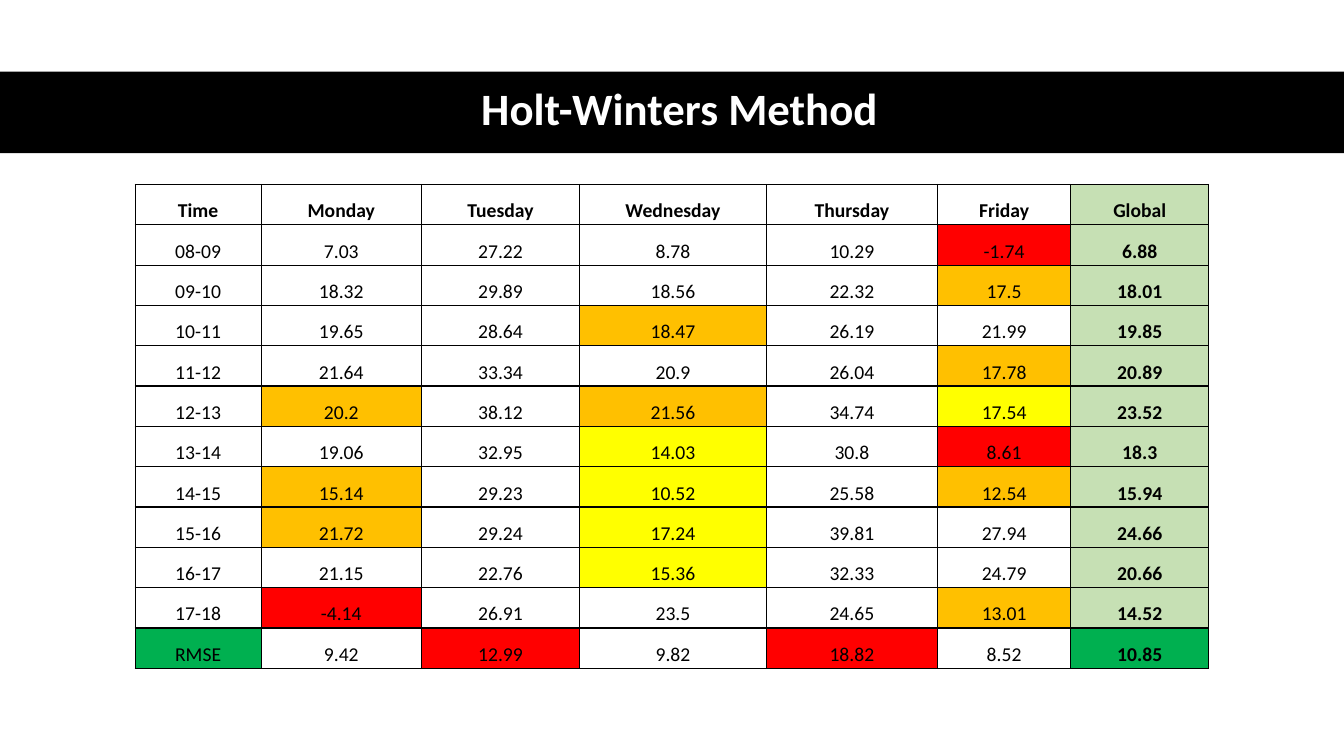
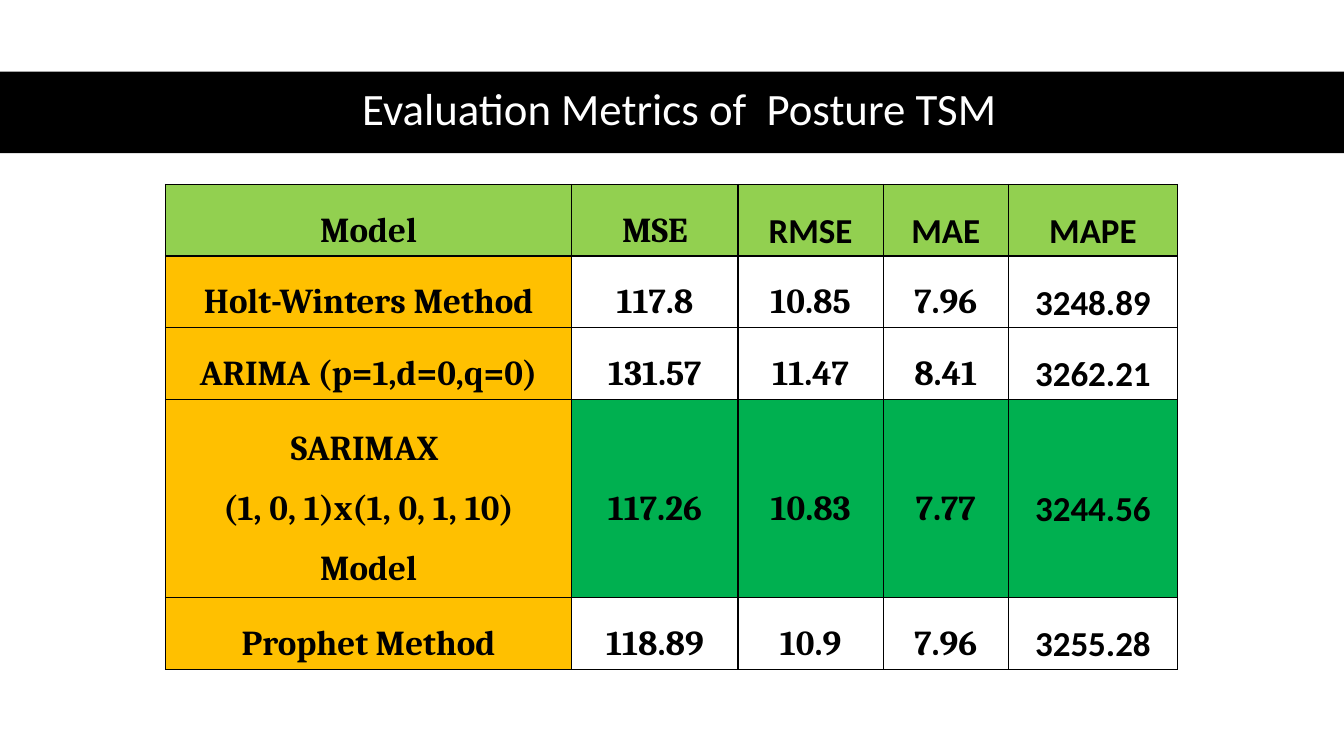
from dataclasses import dataclass

from lxml.etree import SubElement
from pptx import Presentation
from pptx.dml.color import RGBColor
from pptx.enum.shapes import MSO_SHAPE
from pptx.enum.text import MSO_ANCHOR, MSO_AUTO_SIZE, PP_ALIGN
from pptx.oxml.ns import qn
from pptx.util import Inches, Pt


@dataclass(frozen=True)
class Theme:
    black: str = "000000"
    white: str = "FFFFFF"
    red: str = "FF0000"
    amber: str = "FFC000"
    yellow: str = "FFFF00"
    pale: str = "C6E0B4"
    lime: str = "92D050"
    green: str = "00B050"
    sans: str = "Calibri"
    serif: str = "Cambria"
    head: int = 32
    small: int = 14
    large: int = 25
    line: int = 1


class Deck:
    def __init__(self, theme):
        self.theme = theme
        self.file = Presentation()
        self.file.slide_width = Inches(13.33)
        self.file.slide_height = Inches(7.5)
        self.slide = None

    def start(self, title, bold):
        self.slide = self.file.slides.add_slide(self.file.slide_layouts[5])
        self.title(title, bold)
        self.band()

    def title(self, text, bold):
        head = self.slide.shapes.title
        head.left, head.top = Inches(0.61), Inches(0.7)
        head.width, head.height = Inches(12.26), Inches(0.81)
        frame = head.text_frame
        frame.text = text
        frame.auto_size = MSO_AUTO_SIZE.NONE
        frame.vertical_anchor = MSO_ANCHOR.MIDDLE
        theme = self.theme
        self.style(frame, 0.9, theme.sans, theme.head, theme.white, bold)

    def band(self):
        bar = self.slide.shapes.add_shape(
            MSO_SHAPE.RECTANGLE, 0, Inches(0.71), self.file.slide_width, Inches(0.81))
        bar.shadow.inherit = False
        bar.fill.solid()
        bar.fill.fore_color.rgb = RGBColor.from_string(self.theme.black)
        bar.line.fill.background()
        self.slide.shapes.title.element.addprevious(bar.element)

    def style(self, frame, space, face, size, hue, bold):
        for para in frame.paragraphs:
            para.alignment = PP_ALIGN.CENTER
            para.line_spacing = space
            for run in para.runs:
                run.font.name = face
                run.font.size = Pt(size)
                run.font.bold = bold
                run.font.color.rgb = RGBColor.from_string(hue)

    def table(self, data, left, wide, high, size, pad, fill, face, bold):
        shape = self.slide.shapes.add_table(
            len(data), len(wide), Inches(left), Inches(1.83),
            Inches(sum(wide)), Inches(sum(high)))
        grid = shape.table
        grid.first_row = grid.horz_banding = False
        for col, width in zip(grid.columns, wide):
            col.width = Inches(width)
        for row, height in zip(grid.rows, high):
            row.height = Inches(height)
        for r, line in enumerate(data):
            for c, text in enumerate(line):
                cell = grid.cell(r, c)
                self.cell(cell, text, pad, fill(r, c))
                self.style(cell.text_frame, 1.5, face(r, c), size,
                           self.theme.black, bold(r, c))

    def cell(self, cell, text, pad, hue):
        cell.text_frame.text = text
        cell.vertical_anchor = MSO_ANCHOR.MIDDLE
        cell.margin_left = cell.margin_right = Inches(pad)
        cell.margin_top = Inches(pad / 10)
        cell.margin_bottom = 0
        self.edge(cell)
        if hue:
            cell.fill.solid()
            cell.fill.fore_color.rgb = RGBColor.from_string(hue)
        else:
            cell.fill.background()

    def edge(self, cell):
        props = cell._tc.get_or_add_tcPr()
        for side in ("a:lnL", "a:lnR", "a:lnT", "a:lnB"):
            line = SubElement(props, qn(side), w=str(Pt(self.theme.line)))
            paint = SubElement(line, qn("a:solidFill"))
            SubElement(paint, qn("a:srgbClr"), val=self.theme.black)


HOURS = """\
Time Monday Tuesday Wednesday Thursday Friday Global
08-09 7.03 27.22 8.78 10.29 -1.74 6.88
09-10 18.32 29.89 18.56 22.32 17.5 18.01
10-11 19.65 28.64 18.47 26.19 21.99 19.85
11-12 21.64 33.34 20.9 26.04 17.78 20.89
12-13 20.2 38.12 21.56 34.74 17.54 23.52
13-14 19.06 32.95 14.03 30.8 8.61 18.3
14-15 15.14 29.23 10.52 25.58 12.54 15.94
15-16 21.72 29.24 17.24 39.81 27.94 24.66
16-17 21.15 22.76 15.36 32.33 24.79 20.66
17-18 -4.14 26.91 23.5 24.65 13.01 14.52
RMSE 9.42 12.99 9.82 18.82 8.52 10.85"""

SCORES = [
    ["Model", "MSE", "RMSE", "MAE", "MAPE"],
    ["Holt-Winters Method", "117.8", "10.85", "7.96", "3248.89"],
    ["ARIMA (p=1,d=0,q=0)", "131.57", "11.47", "8.41", "3262.21"],
    ["SARIMAX \n(1, 0, 1)x(1, 0, 1, 10) Model", "117.26", "10.83", "7.77", "3244.56"],
    ["Prophet Method", "118.89", "10.9", "7.96", "3255.28"],
]


def hours(deck):
    theme = deck.theme
    data = [line.split() for line in HOURS.splitlines()]
    last = len(data) - 1
    marks = {
        theme.red: [(1, 5), (6, 5), (10, 1), (last, 2), (last, 4)],
        theme.amber: [(2, 5), (3, 3), (4, 5), (5, 1), (5, 3),
                      (7, 1), (7, 5), (8, 1), (10, 5)],
        theme.yellow: [(5, 5), (6, 3), (7, 3), (8, 3), (9, 3)],
        theme.green: [(last, 0), (last, 6)],
    }
    hues = {spot: hue for hue, spots in marks.items() for spot in spots}

    def fill(r, c):
        return hues.get((r, c), theme.pale if c == 6 else None)

    deck.start("Holt-Winters Method", True)
    deck.table(data, 1.34, [1.25, 1.59, 1.57, 1.85, 1.7, 1.32, 1.37],
               [0.4] * len(data), theme.small, 0.1, fill,
               face=lambda r, c: theme.sans,
               bold=lambda r, c: r == 0 or c == 6)


def scores(deck):
    theme = deck.theme

    def fill(r, c):
        if r == 0:
            return theme.lime
        if c == 0:
            return theme.amber
        return theme.green if r == 3 else None

    def face(r, c):
        return theme.sans if c == 4 or (r == 0 and c > 1) else theme.serif

    deck.start("Evaluation Metrics of  Posture TSM", False)
    deck.table(SCORES, 1.64, [4.03, 1.65, 1.44, 1.24, 1.68],
               [0.71, 0.71, 0.71, 1.97, 0.71], theme.large, 0.16, fill, face,
               bold=lambda r, c: True)


def main():
    deck = Deck(Theme())
    hours(deck)
    scores(deck)
    deck.file.save("out.pptx")


if __name__ == "__main__":
    main()
